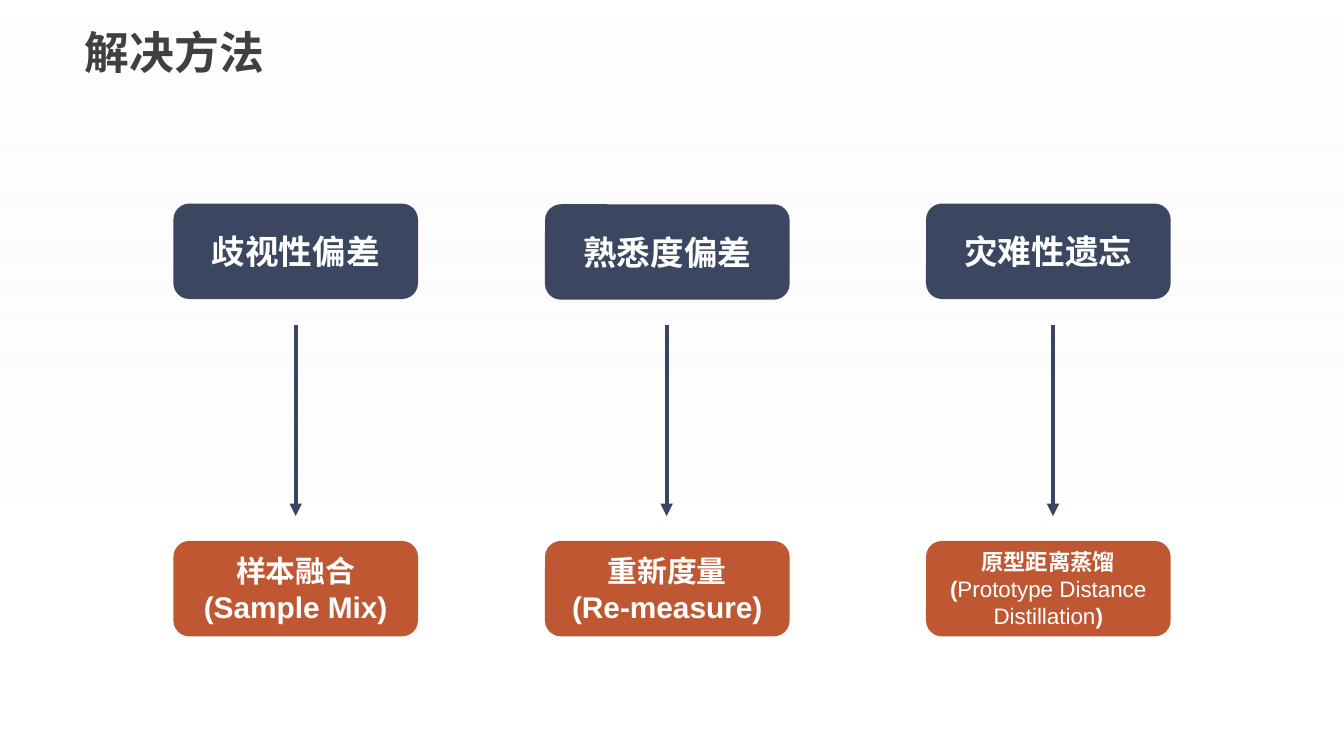
"""Build a slide that pairs three problems with their solutions."""
from lxml import etree
from pptx import Presentation
from pptx.dml.color import RGBColor
from pptx.enum.shapes import MSO_CONNECTOR, MSO_SHAPE
from pptx.enum.text import MSO_ANCHOR, MSO_AUTO_SIZE, PP_ALIGN
from pptx.oxml.ns import qn
from pptx.util import Pt

PX = 4572
LINE = MSO_CONNECTOR.STRAIGHT
RECT, ROUND = MSO_SHAPE.RECTANGLE, MSO_SHAPE.ROUNDED_RECTANGLE
TOP, MIDDLE = MSO_ANCHOR.TOP, MSO_ANCHOR.MIDDLE
LEFT, CENTER = PP_ALIGN.LEFT, PP_ALIGN.CENTER
FIXED = MSO_AUTO_SIZE.NONE
HAN = "Noto Sans CJK SC"
COLORS = {
    "white": "FFFFFF", "haze": "F2F2F2", "title": "404040",
    "navy": "3B4761", "arrow": "394560", "rust": "BF5832",
}
WIDE, HIGH = 364, 142


def tint(name):
    return RGBColor.from_string(COLORS[name])


def write(shape, lines, size, color, face, align, anchor):
    frame = shape.text_frame
    form = {"word_wrap": True, "auto_size": FIXED, "vertical_anchor": anchor}
    for key, value in form.items():
        setattr(frame, key, value)
    for row, runs in enumerate(lines):
        para = frame.add_paragraph() if row else frame.paragraphs[0]
        para.alignment = align
        for text, bold in runs:
            run = para.add_run()
            run.text = text
            look = {"size": Pt(size), "bold": bold, "name": face}
            for key, value in look.items():
                setattr(run.font, key, value)
            run.font.color.rgb = tint(color)
            east = etree.Element(qn("a:ea"), typeface=HAN)
            run.font._element.find(qn("a:latin")).addnext(east)


deck = Presentation()
deck.slide_width, deck.slide_height = 2000 * PX, 1125 * PX
slide = deck.slides.add_slide(deck.slide_layouts[5])
shapes = slide.shapes

back = shapes.add_shape(RECT, 0, 0, deck.slide_width, deck.slide_height)
back.shadow.inherit = False
back.line.fill.background()
back.fill.gradient()
back.fill.gradient_angle = 270
stops = [("white", 0, 55), ("haze", 0.71, 0)]
for stop, (name, place, alpha) in zip(back.fill.gradient_stops, stops):
    stop.color.rgb = tint(name)
    stop.position = place
    color = stop._gs.find(qn("a:srgbClr"))
    etree.SubElement(color, qn("a:alpha"), val=str(alpha * 1000))
shapes._spTree.insert(2, back._element)

title = shapes.title
spot = {"left": 106, "top": 27, "width": 612, "height": 100}
for key, value in spot.items():
    setattr(title, key, value * PX)
write(title, [[("解决方法", True)]], 24, "title", HAN, LEFT, TOP)

columns = [
    (258, 303, 440, "歧视性偏差", 16,
     [[("样本融合", True)], [("(Sample Mix)", True)]]),
    (811, 304, 992, "熟悉度偏差", 16,
     [[("重新度量", True)], [("(Re-measure)", True)]]),
    (1378, 303, 1567, "灾难性遗忘", 12,
     [[("原型距离蒸馏", True)],
      [("(", True), ("Prototype Distance Distillation", False), (")", True)]]),
]
for left, top, axis, issue, size, answer in columns:
    boxes = [(top, "navy", [[(issue, True)]], 18),
             (805, "rust", answer, size)]
    for y, fill, lines, points in boxes:
        box = shapes.add_shape(ROUND, left * PX, y * PX, WIDE * PX, HIGH * PX)
        box.shadow.inherit = False
        box.fill.solid()
        box.fill.fore_color.rgb = tint(fill)
        box.line.fill.background()
        write(box, lines, points, "white", "Arial", CENTER, MIDDLE)

    arrow = shapes.add_connector(LINE, axis * PX, 484 * PX, axis * PX, 768 * PX)
    arrow.line.color.rgb = tint("arrow")
    arrow.line.width = Pt(2.25)
    etree.SubElement(arrow.line._get_or_add_ln(), qn("a:tailEnd"), type="triangle")
    etree.SubElement(arrow._element.spPr, qn("a:effectLst"))

deck.save("out.pptx")
